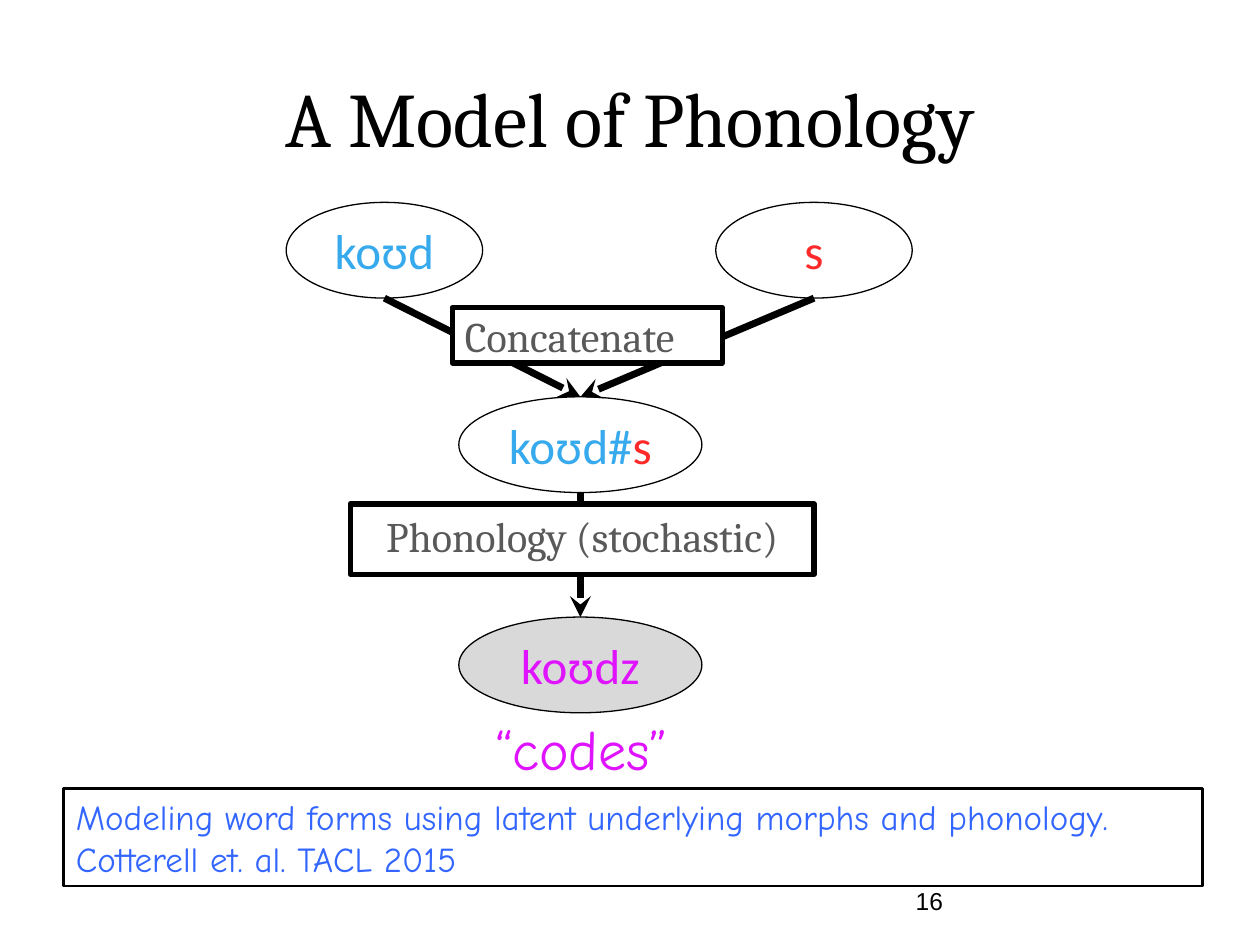
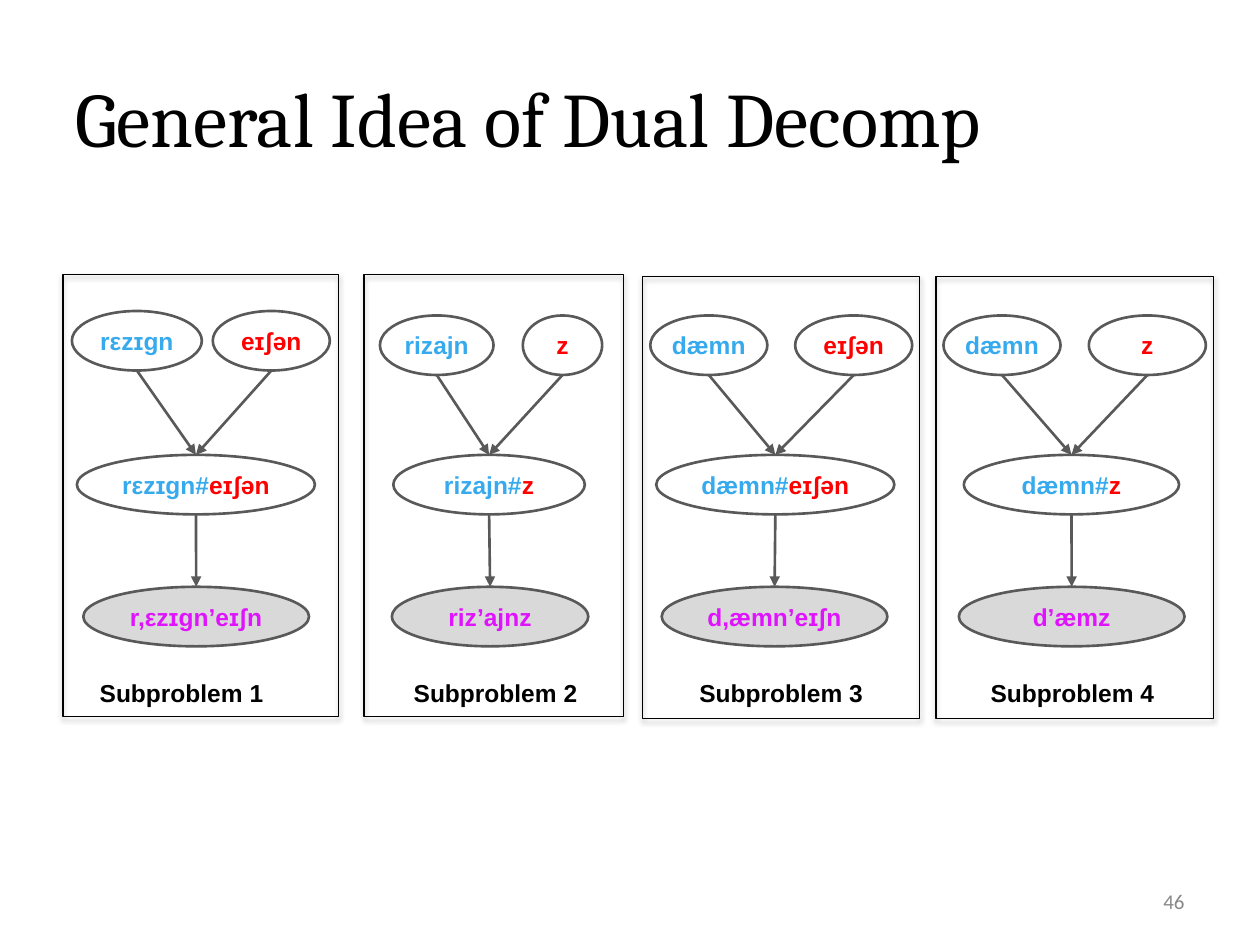
from pptx import Presentation
from pptx.dml.color import RGBColor
from pptx.enum.shapes import MSO_CONNECTOR as Line, MSO_SHAPE as Shape
from pptx.enum.text import MSO_ANCHOR as Anchor, MSO_AUTO_SIZE as AutoSize, PP_ALIGN as Align
from pptx.oxml import parse_xml
from pptx.oxml.ns import nsdecls, qn
from pptx.util import Cm, Pt

BLACK, WHITE, GREY, SILVER = "000000", "FFFFFF", "595959", "D9D9D9"
STEM, SUFFIX, SURFACE = "37AAED", "FF0000", "E013FF"
SOFT_RED, CITATION_BLUE, NUMBER_GREY = "FE2A2A", "3366FF", "888888"
WIDE_INSETS, TIGHT_INSETS = (0.25, 0.13), (0.08, 0.08)

MODEL = {
    "title": "A Model of Phonology",
    "number": "16",
    "stem": "koʊd",
    "suffix": "s",
    "surface": "koʊdz",
    "word": "“codes”",
    "citation": [
        "Modeling word forms using latent underlying morphs and phonology.",
        "Cotterell et. al. TACL 2015",
    ],
}
STEPS = [
    ("Concatenate", (9.12, 6.2, 5.44, 1.12), Align.LEFT, Anchor.MIDDLE),
    ("Phonology (stochastic)", (7.06, 10.16, 9.35, 1.42), Align.CENTER, Anchor.TOP),
]
DECOMPOSITION = {"title": "General Idea of Dual Decomp", "number": "46"}
SUBPROBLEMS = [
    {"stem": "rεzɪgn", "suffix": "eɪʃən", "surface": "r,εzɪgn’eɪʃn",
     "frame": (1.27, 5.56), "frame_top": 5.54, "morph_top": 6.27, "label_left": 1.93,
     "spans": [(1.45, 2.62), (4.29, 2.36), (1.55, 4.8), (1.68, 4.55)]},
    {"stem": "rizajn", "suffix": "z", "surface": "riz’ajnz",
     "frame": (7.34, 5.23), "frame_top": 5.54, "morph_top": 6.36, "label_left": 8.26,
     "spans": [(7.66, 2.29), (10.54, 1.6), (7.93, 3.86), (7.9, 3.96)]},
    {"stem": "dæmn", "suffix": "eɪʃən", "surface": "d,æmn’eɪʃn",
     "frame": (12.95, 5.59), "frame_top": 5.58, "morph_top": 6.36, "label_left": 14.02,
     "spans": [(13.11, 2.36), (16.03, 2.36), (13.23, 4.8), (13.34, 4.55)]},
    {"stem": "dæmn", "suffix": "z", "surface": "d’æmz",
     "frame": (18.87, 5.59), "frame_top": 5.58, "morph_top": 6.36, "label_left": 19.89,
     "spans": [(19.02, 2.36), (21.95, 2.36), (19.43, 4.34), (19.33, 4.55)]},
]
MODEL_STYLE = {"font": "Calibri", "size": 28, "bold": False, "insets": WIDE_INSETS,
               "line": BLACK, "weight": 0.75, "fill": None, "red": SOFT_RED,
               "arrow": (BLACK, 4, "stealth")}
PANEL_STYLE = {"font": "Arial", "size": 14, "bold": True, "insets": TIGHT_INSETS,
               "line": GREY, "weight": 1.5, "fill": WHITE, "red": SUFFIX,
               "arrow": (GREY, 1.5, "triangle")}


def rgb(value):
    """Turn a hex string into a colour."""
    return RGBColor.from_string(value)


def write(shape, paragraphs, font, size, align=Align.LEFT, anchor=Anchor.TOP,
          insets=WIDE_INSETS, bold=False):
    """Fill a shape with paragraphs, each a list of (text, colour) spans."""
    frame = shape.text_frame
    frame.word_wrap, frame.auto_size = True, AutoSize.NONE
    frame.vertical_anchor = anchor
    frame.margin_left = frame.margin_right = Cm(insets[0])
    frame.margin_top = frame.margin_bottom = Cm(insets[1])
    for index, spans in enumerate(paragraphs):
        para = frame.add_paragraph() if index else frame.paragraphs[0]
        para.alignment = align
        for text, colour in spans:
            span = para.add_run()
            span.text = text
            span.font.name, span.font.size, span.font.bold = font, Pt(size), bold
            span.font.color.rgb = rgb(colour)


def add_page(deck, content, align):
    """Add a slide with its formatted title."""
    page = deck.slides.add_slide(deck.slide_layouts[5])
    title = page.shapes.title
    title.left, title.top, title.width, title.height = map(Cm, (1.27, 0.76, 22.86, 3.18))
    write(title, [[(content["title"], BLACK)]], "Cambria", 44, align, Anchor.MIDDLE)
    return page


def add_text(page, place, text, colour, font, size, **options):
    """Add a text box with a single line of text."""
    box = page.shapes.add_textbox(*map(Cm, place))
    write(box, [[(text, colour)]], font, size, **options)


def add_number(page, content, colour, font, size, align):
    """Add the slide number at the foot of the slide."""
    add_text(page, (18.21, 17.65, 5.92, 1.02), content["number"], colour, font, size,
             align=align, anchor=Anchor.MIDDLE)


def add_outline(page, kind, place, line, weight, fill=None):
    """Add an outlined preset shape, filled on request."""
    shape = page.shapes.add_shape(kind, *map(Cm, place))
    shape.shadow.inherit = False
    shape.line.color.rgb, shape.line.width = rgb(line), Pt(weight)
    if fill:
        shape.fill.solid()
        shape.fill.fore_color.rgb = rgb(fill)
    else:
        shape.fill.background()
    return shape


def add_arrow(page, source, target, colour, weight, head):
    """Join the bottom of one shape to the top of another."""
    arrow = page.shapes.add_connector(
        Line.STRAIGHT, source.left + source.width // 2, source.top + source.height,
        target.left + target.width // 2, target.top)
    arrow.line.color.rgb, arrow.line.width = rgb(colour), Pt(weight)
    properties = arrow._element.spPr
    properties.find(qn("a:ln")).append(
        parse_xml(f'<a:tailEnd {nsdecls("a")} type="{head}"/>'))
    properties.append(parse_xml(f'<a:effectLst {nsdecls("a")}/>'))


def add_derivation(page, word, places, style):
    """Draw stem and suffix joining into a form that leads to the surface form."""
    stem, suffix, red = word["stem"], word["suffix"], style["red"]
    labels = [[(stem, STEM)], [(suffix, red)], [(stem + "#", STEM), (suffix, red)],
              [(word["surface"], SURFACE)]]
    fills = [style["fill"]] * 3 + [SILVER]
    nodes = []
    for spans, place, fill in zip(labels, places, fills):
        node = add_outline(page, Shape.OVAL, place, style["line"], style["weight"], fill)
        write(node, [spans], style["font"], style["size"], Align.CENTER, Anchor.MIDDLE,
              style["insets"], style["bold"])
        nodes.append(node)
    for source, target in ((1, 2), (0, 2), (2, 3)):
        add_arrow(page, nodes[source], nodes[target], *style["arrow"])


def add_frame(page, place):
    """Draw a panel frame with a soft shadow below it."""
    frame = add_outline(page, Shape.RECTANGLE, place, BLACK, 0.75)
    frame._element.spPr.find(qn("a:effectLst")).append(parse_xml(
        f'<a:outerShdw {nsdecls("a")} blurRad="{Pt(3.1)}" dist="{Pt(1.8)}" dir="5400000" '
        f'rotWithShape="0"><a:srgbClr val="{BLACK}"><a:alpha val="35000"/></a:srgbClr>'
        '</a:outerShdw>'))


def build_model(deck):
    """Build the slide on the phonology model."""
    page = add_page(deck, MODEL, Align.CENTER)
    places = [(left, top, width, 1.93) for left, top, width in
              ((5.77, 4.08, 3.96), (14.43, 4.08, 3.96), (9.25, 8, 4.9), (9.25, 12.44, 4.9))]
    add_derivation(page, MODEL, places, MODEL_STYLE)
    for text, place, align, anchor in STEPS:
        step = add_outline(page, Shape.RECTANGLE, place, BLACK, 3, WHITE)
        write(step, [[(text, GREY)]], "Cambria", 24, align, anchor)
    add_text(page, (9.73, 14.27, 4.5, 1.63), MODEL["word"], SURFACE, "Comic Neue", 32)
    add_number(page, MODEL, BLACK, "Arial", 14, Align.LEFT)
    citation = add_outline(page, Shape.RECTANGLE, (1.28, 15.9, 22.96, 1.96), BLACK, 1.5)
    write(citation, [[(line, CITATION_BLUE)] for line in MODEL["citation"]],
          "Comic Neue", 20)


def build_decomposition(deck):
    """Build the slide with one panel per subproblem."""
    page = add_page(deck, DECOMPOSITION, Align.LEFT)
    for number, problem in enumerate(SUBPROBLEMS, 1):
        tops = [problem["morph_top"]] * 2 + [9.17, 11.83]
        places = [(left, top, width, 1.2)
                  for (left, width), top in zip(problem["spans"], tops)]
        add_derivation(page, problem, places, PANEL_STYLE)
        add_text(page, (problem["label_left"], 13.59, 3.99, 1.14), f"Subproblem {number}",
                 BLACK, "Arial", 14, insets=TIGHT_INSETS, bold=True)
        left, width = problem["frame"]
        add_frame(page, (left, problem["frame_top"], width, 8.9))
    add_number(page, DECOMPOSITION, NUMBER_GREY, "Calibri", 12, Align.RIGHT)


def main():
    """Build and save the deck."""
    deck = Presentation()
    deck.slide_width, deck.slide_height = Cm(25.4), Cm(19.05)
    build_model(deck)
    build_decomposition(deck)
    deck.save("out.pptx")


if __name__ == "__main__":
    main()
